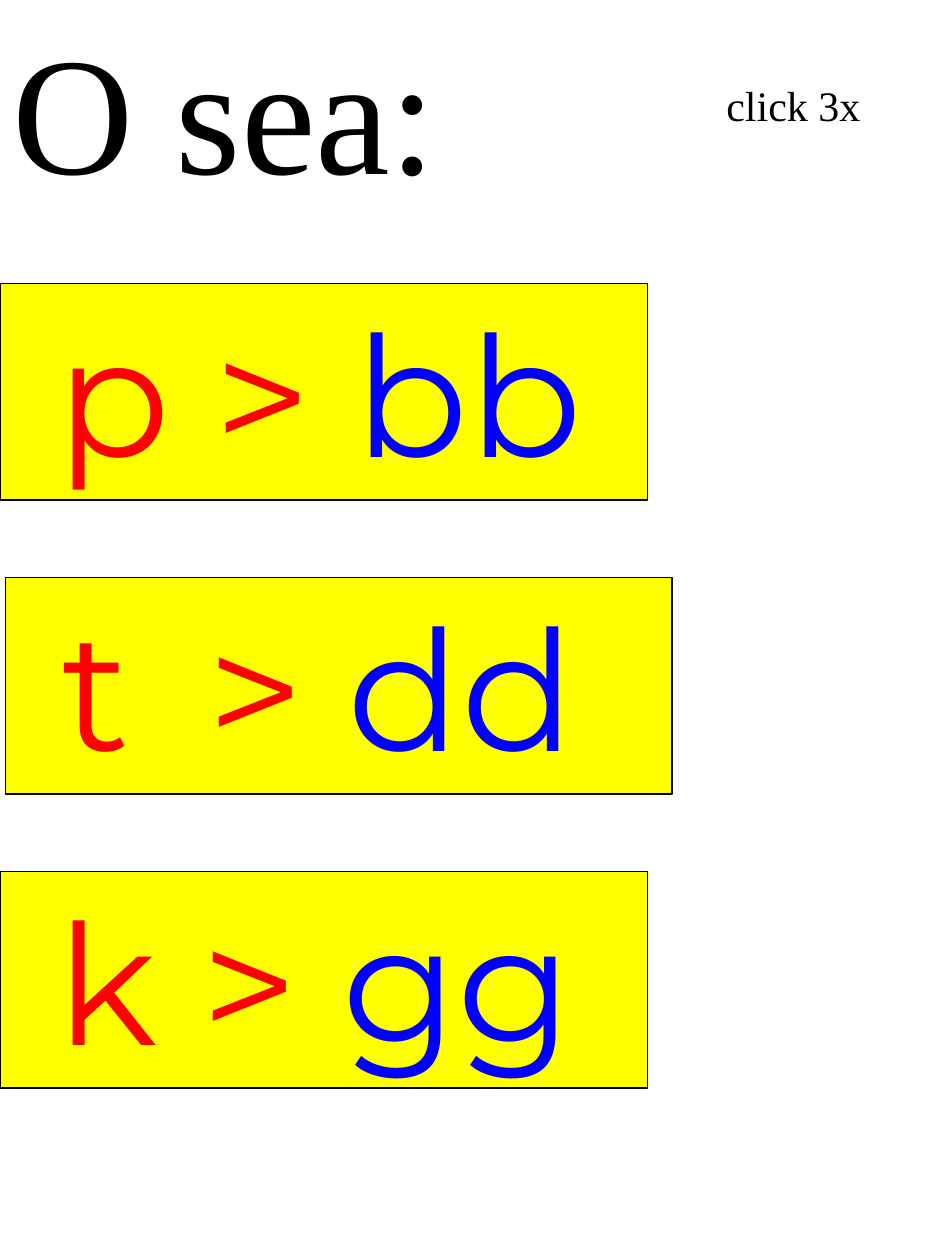
from dataclasses import dataclass

from pptx import Presentation
from pptx.dml.color import RGBColor
from pptx.enum.shapes import MSO_SHAPE
from pptx.enum.text import MSO_ANCHOR, PP_ALIGN
from pptx.util import Pt

RECT = MSO_SHAPE.RECTANGLE
TOP = MSO_ANCHOR.TOP
LEFT = PP_ALIGN.LEFT


@dataclass(frozen=True)
class Theme:
    black: str = "000000"
    red: str = "FF0000"
    blue: str = "0000FF"
    yellow: str = "FFFF00"
    serif: str = "Times New Roman"
    sans: str = "Montserrat"
    large: int = 96
    small: int = 24
    line: float = 0.75


THEME = Theme()


def tint(code):
    return RGBColor.from_string(code)


def write(shape, runs, font, size, wrap=True):
    """Fill a shape with one left-aligned line of (text, colour, tracking) runs."""
    frame = shape.text_frame
    for name, value in {"word_wrap": wrap, "vertical_anchor": TOP}.items():
        setattr(frame, name, value)
    line = frame.paragraphs[0]
    line.alignment = LEFT
    for text, color, track in runs:
        run = line.add_run()
        run.text = text
        for name, value in {"name": font, "size": Pt(size)}.items():
            setattr(run.font, name, value)
        run.font.color.rgb = tint(color)
        if track:
            run.font._element.set("spc", str(track * 100))


def add_label(slide, box, text, size):
    label = slide.shapes.add_textbox(*map(Pt, box))
    write(label, [(text, THEME.black, 0)], THEME.serif, size, wrap=False)


def add_rule(slide, box, old, new, track):
    """Draw a yellow band for one sound change; track widens the gap before the sign."""
    band = slide.shapes.add_shape(RECT, *map(Pt, box))
    band.shadow.inherit = False
    band.fill.solid()
    band.fill.fore_color.rgb = tint(THEME.yellow)
    band.line.color.rgb = tint(THEME.black)
    band.line.width = Pt(THEME.line)
    runs = [(f" {old}", THEME.red, 0), (" ", THEME.red, track),
            ("> ", THEME.red, 0), (new, THEME.blue, 0)]
    write(band, runs, THEME.sans, THEME.large)


def add_rules(slide, box):
    """Stack the sound changes at an even pitch inside the box."""
    left, top, width, height = box
    band, shift, extra = 123.8, 3, 11
    rules = [("p", "bb", 0, 0, 0), ("t", "dd", shift, extra, 19), ("k", "gg", 0, 0, 0)]
    pitch = (height - band) / (len(rules) - 1)
    for row, (old, new, move, grow, track) in enumerate(rules):
        place = (left + move, top + row * pitch, width + grow, band)
        add_rule(slide, place, old, new, track)


def main():
    deck = Presentation()
    deck.slide_width, deck.slide_height = Pt(540), Pt(720)
    slide = deck.slides.add_slide(deck.slide_layouts[6])
    add_label(slide, (0, 0, 276, 123.8), "O sea:", THEME.large)
    add_rules(slide, (0, 162, 370, 459.8))
    add_label(slide, (408, 42, 92, 36), "click 3x", THEME.small)
    deck.save("out.pptx")


if __name__ == "__main__":
    main()
